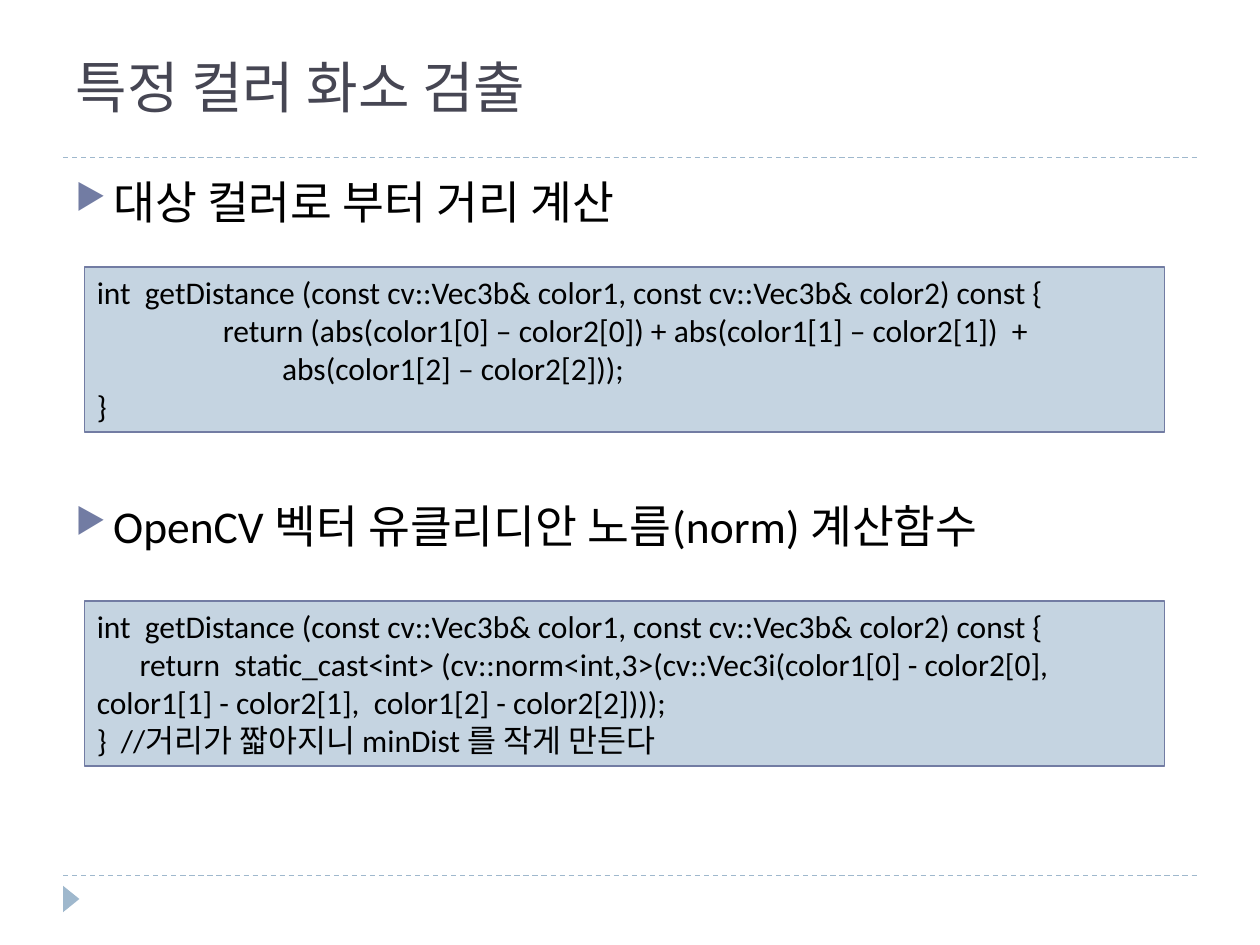
from dataclasses import dataclass

from lxml import etree
from pptx import Presentation
from pptx import util as u
from pptx.dml.color import RGBColor
from pptx.enum import dml, shapes, text
from pptx.oxml import ns

PALE_BLUE = RGBColor(0x9F, 0xB8, 0xCD)
BOX_FILL = RGBColor(0xC5, 0xD4, 0xE1)
ACCENT = RGBColor(0x72, 0x7C, 0xA3)
TITLE_COLOR = RGBColor(0x46, 0x46, 0x53)
BLACK = RGBColor(0, 0, 0)

SIGNATURE = "int  getDistance (const cv::Vec3b& color1, const cv::Vec3b& color2) const {"


@dataclass
class CodeLine:
    content: str
    indent: float = 0


@dataclass
class CodeBox:
    top: float
    lines: list[CodeLine]


HEADINGS = ["대상 컬러로 부터 거리 계산", "OpenCV 벡터 유클리디안 노름(norm) 계산함수"]
HEADING_GAP = 154
RULES = [1.25, 6.95]
CODE_BOXES = [
    CodeBox(2.12, [
        CodeLine(SIGNATURE),
        CodeLine("return (abs(color1[0] – color2[0]) + abs(color1[1] – color2[1])  +", 1),
        CodeLine("abs(color1[2] – color2[2]));", 1.47),
        CodeLine("}"),
    ]),
    CodeBox(4.77, [
        CodeLine(SIGNATURE),
        CodeLine("return  static_cast<int> (cv::norm<int,3>(cv::Vec3i(color1[0] - color2[0],\v"
                 "color1[1] - color2[1],  color1[2] - color2[2])));", 0.34),
        CodeLine("}  //거리가 짧아지니 minDist 를 작게 만든다"),
    ]),
]


def write(p, content: str, *, size: float, font: str = "Calibri",
          color: RGBColor = BLACK, margin: float = 0, indent: float = 0,
          before: float = 0) -> None:
    p.text = content
    p.alignment = text.PP_ALIGN.LEFT
    p.space_before = u.Pt(before)
    for r in p.runs:
        r.font.size = u.Pt(size)
        r.font.name = font
        r.font.color.rgb = color
    pPr = p._p.get_or_add_pPr()
    pPr.set("marL", str(u.Inches(margin)))
    pPr.set("indent", str(u.Inches(indent)))


def add_bullet(p) -> None:
    pPr = p._p.get_or_add_pPr()
    color = etree.SubElement(pPr, ns.qn("a:buClr"))
    etree.SubElement(color, ns.qn("a:srgbClr"), val=str(ACCENT))
    etree.SubElement(pPr, ns.qn("a:buSzPct"), val="76000")
    etree.SubElement(pPr, ns.qn("a:buChar"), char="▶")


def paragraph(tf, index: int):
    return tf.add_paragraph() if index else tf.paragraphs[0]


def add_rule(s, y: float) -> None:
    line = s.shapes.add_connector(shapes.MSO_CONNECTOR.STRAIGHT, u.Inches(0.5),
                                  u.Inches(y), u.Inches(9.5), u.Inches(y))
    line.line.color.rgb = PALE_BLUE
    line.line.width = u.Pt(0.75)
    line.line.dash_style = dml.MSO_LINE.DASH
    etree.SubElement(line._element.spPr, ns.qn("a:effectLst"))


def add_marker(s) -> None:
    sp = s.shapes.add_shape(shapes.MSO_SHAPE.ISOSCELES_TRIANGLE, u.Inches(0.46),
                            u.Inches(7.07), u.Inches(0.21), u.Inches(0.13))
    sp.rotation = 90
    sp.shadow.inherit = False
    sp.fill.solid()
    sp.fill.fore_color.rgb = PALE_BLUE
    sp.line.fill.background()


def set_title(s, content: str) -> None:
    sp = s.shapes.title
    sp.left, sp.top = u.Inches(0.5), u.Inches(0.17)
    sp.width, sp.height = u.Inches(9), u.Inches(0.83)
    tf = sp.text_frame
    tf.vertical_anchor = text.MSO_ANCHOR.BOTTOM
    write(tf.paragraphs[0], content, size=32, font="Roboto Slab", color=TITLE_COLOR)


def add_headings(s) -> None:
    sp = s.shapes.add_textbox(u.Inches(0.5), u.Inches(1.33), u.Inches(9), u.Inches(5.4))
    tf = sp.text_frame
    tf.word_wrap = True
    for i, heading in enumerate(HEADINGS):
        p = paragraph(tf, i)
        write(p, heading, size=26, margin=0.3, indent=-0.3, before=i * HEADING_GAP)
        add_bullet(p)


def add_code_box(s, box: CodeBox) -> None:
    sp = s.shapes.add_shape(shapes.MSO_SHAPE.RECTANGLE, u.Inches(0.67),
                            u.Inches(box.top), u.Inches(8.57), u.Inches(1.31))
    sp.shadow.inherit = False
    sp.fill.solid()
    sp.fill.fore_color.rgb = BOX_FILL
    sp.line.color.rgb = ACCENT
    sp.line.width = u.Pt(0.75)
    tf = sp.text_frame
    tf.word_wrap = True
    tf.vertical_anchor = text.MSO_ANCHOR.TOP
    for i, line in enumerate(box.lines):
        write(paragraph(tf, i), line.content, size=18, indent=line.indent)


def main() -> None:
    prs = Presentation()
    prs.slide_width, prs.slide_height = u.Inches(10), u.Inches(7.5)
    s = prs.slides.add_slide(prs.slide_layouts[5])
    for y in RULES:
        add_rule(s, y)
    add_marker(s)
    set_title(s, "특정 컬러 화소 검출")
    add_headings(s)
    for box in CODE_BOXES:
        add_code_box(s, box)
    prs.save("out.pptx")


if __name__ == "__main__":
    main()
